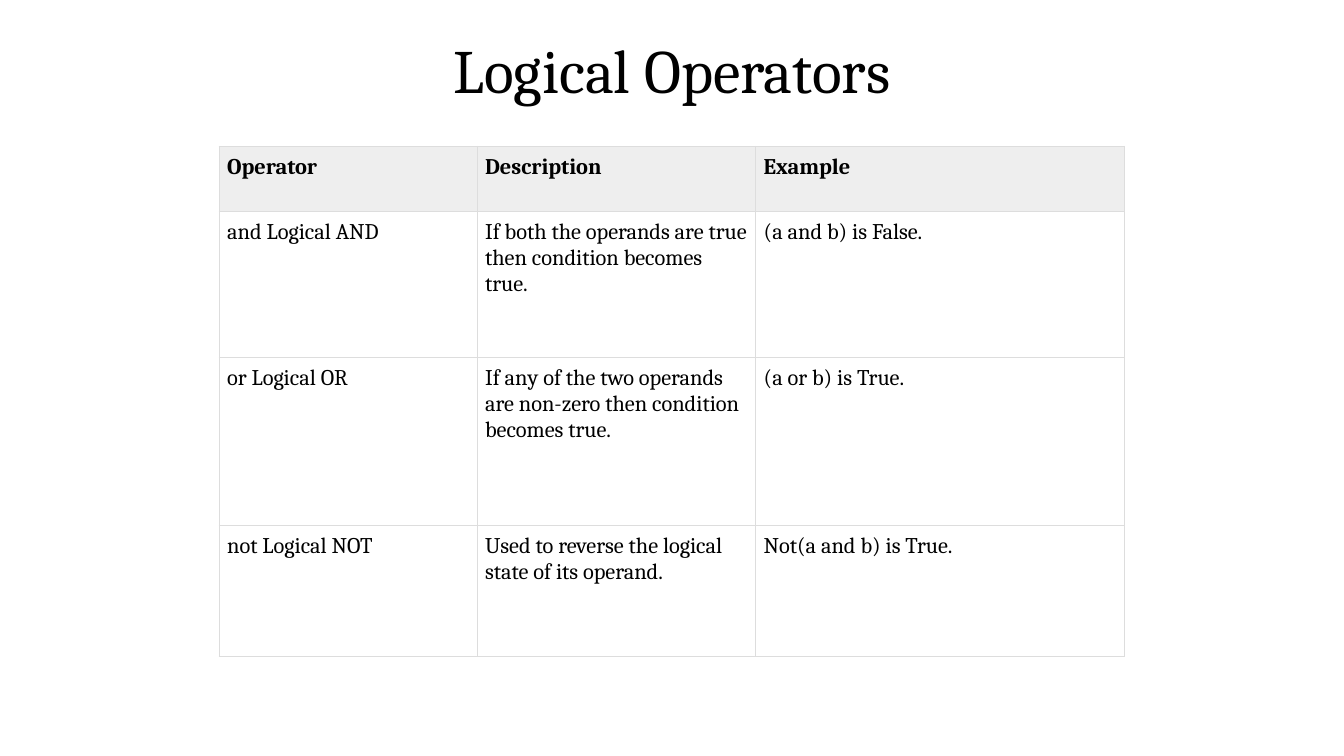
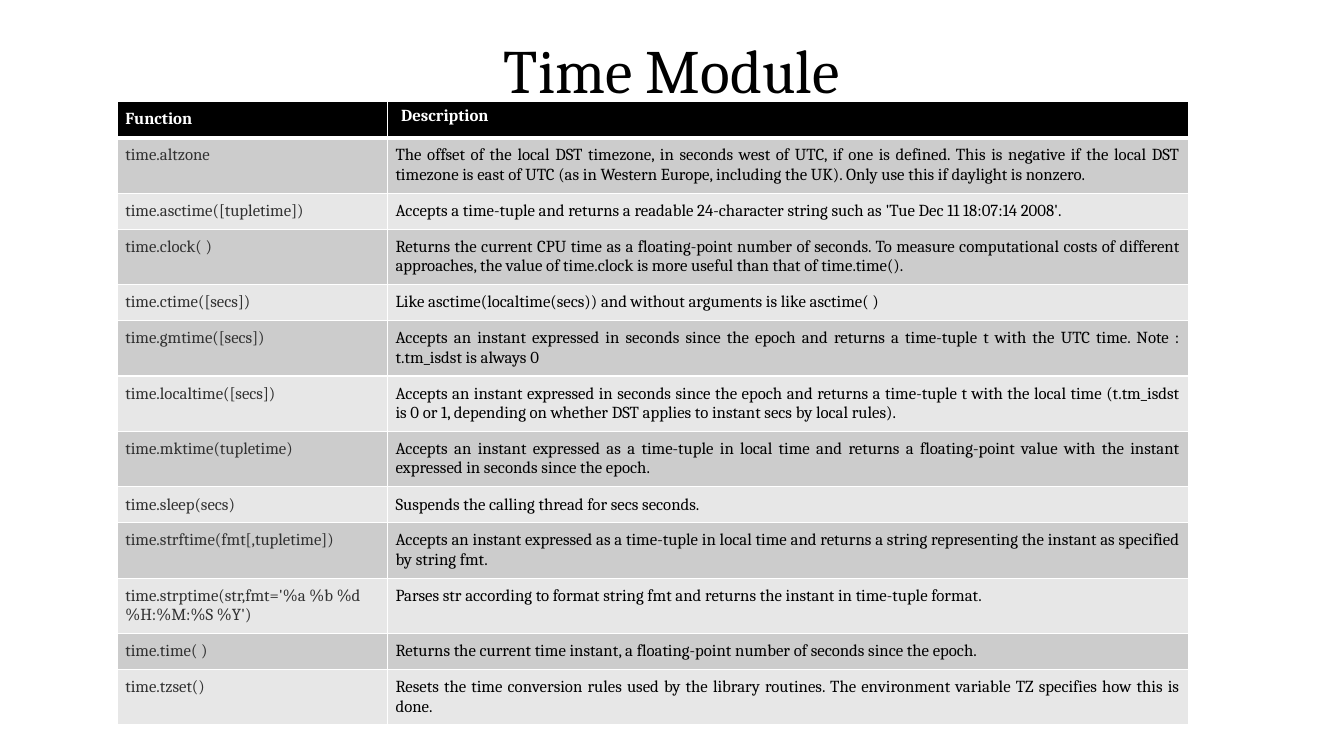
from lxml import etree
from pptx import Presentation
from pptx.dml.color import RGBColor
from pptx.enum import text
from pptx.oxml import ns
from pptx.util import Pt

# Shared look
FONT = "Cambria"
BLACK = RGBColor(0x00, 0x00, 0x00)
WHITE = RGBColor(0xFF, 0xFF, 0xFF)
CHARCOAL = RGBColor(0x31, 0x31, 0x31)
PALE_GREY = RGBColor(0xEE, 0xEE, 0xEE)
RULE_GREY = RGBColor(0xDD, 0xDD, 0xDD)
BANDS = RGBColor(0xCC, 0xCC, 0xCC), RGBColor(0xE7, 0xE7, 0xE7)
PAGE_WIDTH, PAGE_HEIGHT, TITLE_HEIGHT = 960, 540, 104.4
INSET = 5.76
LEFT, JUSTIFY = text.PP_ALIGN.LEFT, text.PP_ALIGN.JUSTIFY

# Content
OPERATORS = [
    ("Operator", "Description", "Example"),
    ("and Logical AND",
     "If both the operands are true then condition becomes true.",
     "(a and b) is False."),
    ("or Logical OR",
     "If any of the two operands are non-zero then condition becomes true.",
     "(a or b) is True."),
    ("not Logical NOT",
     "Used to reverse the logical state of its operand.",
     "Not(a and b) is True."),
]
OPERATOR_ROWS = [46.5, 104.4, 119.8, 93.4]

TIME_FUNCTIONS = [
    ("Function", "Description"),
    ("time.altzone",
     "The offset of the local DST timezone, in seconds west of UTC, if one is "
     "defined. This is negative if the local DST timezone is east of UTC (as in "
     "Western Europe, including the UK). Only use this if daylight is nonzero."),
    ("time.asctime([tupletime])",
     "Accepts a time-tuple and returns a readable 24-character string such as "
     "'Tue Dec 11 18:07:14 2008'."),
    ("time.clock( )",
     "Returns the current CPU time as a floating-point number of seconds. To "
     "measure computational costs of different approaches, the value of "
     "time.clock is more useful than that of time.time()."),
    ("time.ctime([secs])",
     "Like asctime(localtime(secs)) and without arguments is like asctime( )"),
    ("time.gmtime([secs])",
     "Accepts an instant expressed in seconds since the epoch and returns a "
     "time-tuple t with the UTC time. Note : t.tm_isdst is always 0"),
    ("time.localtime([secs])",
     "Accepts an instant expressed in seconds since the epoch and returns a "
     "time-tuple t with the local time (t.tm_isdst is 0 or 1, depending on "
     "whether DST applies to instant secs by local rules)."),
    ("time.mktime(tupletime)",
     "Accepts an instant expressed as a time-tuple in local time and returns a "
     "floating-point value with the instant expressed in seconds since the epoch."),
    ("time.sleep(secs)", "Suspends the calling thread for secs seconds."),
    ("time.strftime(fmt[,tupletime])",
     "Accepts an instant expressed as a time-tuple in local time and returns a "
     "string representing the instant as specified by string fmt."),
    ("time.strptime(str,fmt='%a %b %d %H:%M:%S %Y')",
     "Parses str according to format string fmt and returns the instant in "
     "time-tuple format."),
    ("time.time( )",
     "Returns the current time instant, a floating-point number of seconds "
     "since the epoch."),
    ("time.tzset()",
     "Resets the time conversion rules used by the library routines. The "
     "environment variable TZ specifies how this is done."),
]
ONE_LINE, TWO_LINES = 25.7, 39.6
LINES = [1, 2, 1, 2, 1, 2, 2, 2, 1, 2, 2, 1, 2]
TIME_ROWS = [ONE_LINE if count == 1 else TWO_LINES for count in LINES]


def write(para, words, size, color, bold=False):
    span = para.add_run()
    span.text = words
    span.font.name, span.font.size = FONT, Pt(size)
    span.font.color.rgb, span.font.bold = color, bold


def add_page(deck, title):
    page = deck.slides.add_slide(deck.slide_layouts[5])
    box = page.shapes.title
    box.left, box.top = Pt(0), Pt(0)
    box.width, box.height = Pt(PAGE_WIDTH), Pt(TITLE_HEIGHT)
    frame = box.text_frame
    frame.auto_size = text.MSO_AUTO_SIZE.NONE
    frame.vertical_anchor = text.MSO_ANCHOR.MIDDLE
    para = frame.paragraphs[0]
    para.alignment, para.line_spacing = text.PP_ALIGN.CENTER, 0.9
    write(para, title, 44, BLACK)
    return page


def set_borders(cell, color, **widths):
    """Draw the cell edges; widths has the keys L, R, T and B in points."""
    properties = cell._tc.get_or_add_tcPr()
    for side, width in widths.items():
        line = etree.SubElement(properties, ns.qn(f"a:ln{side}"), w=str(Pt(width)))
        fill = etree.SubElement(line, ns.qn("a:solidFill"))
        etree.SubElement(fill, ns.qn("a:srgbClr"), val=str(color))


def add_grid(page, content, left, top, widths, heights, size,
             border, border_width, head_border, style):
    """Build a table; style(row, column) gives fill, text colour and alignment."""
    table = page.shapes.add_table(
        len(heights), len(widths), Pt(left), Pt(top),
        Pt(sum(widths)), Pt(sum(heights))).table
    table.horz_banding = False
    for column, width in zip(table.columns, widths):
        column.width = Pt(width)
    for r, (row, height) in enumerate(zip(table.rows, heights)):
        row.height = Pt(height)
        for c, cell in enumerate(row.cells):
            fill, color, alignment = style(r, c)
            cell.margin_left = cell.margin_right = Pt(INSET)
            cell.margin_top = cell.margin_bottom = Pt(INSET)
            set_borders(cell, border, L=border_width, R=border_width,
                        T=head_border if r == 1 else border_width,
                        B=head_border if r == 0 else border_width)
            if fill is None:
                cell.fill.background()
            else:
                cell.fill.solid()
                cell.fill.fore_color.rgb = fill
            para = cell.text_frame.paragraphs[0]
            para.alignment = alignment
            write(para, content[r][c], size, color, bold=r == 0)
    return table


def operator_style(row, column):
    return (PALE_GREY if row == 0 else None), BLACK, LEFT


def time_style(row, column):
    if row == 0:
        return BLACK, WHITE, LEFT
    band = BANDS[(row - 1) % 2]
    return (band, CHARCOAL, LEFT) if column == 0 else (band, BLACK, JUSTIFY)


def main():
    deck = Presentation()
    deck.slide_width, deck.slide_height = Pt(PAGE_WIDTH), Pt(PAGE_HEIGHT)

    # Logical operators
    page = add_page(deck, "Logical Operators")
    add_grid(page, OPERATORS, 156.5, 104.5, [184.3, 199, 263.3], OPERATOR_ROWS,
             16, RULE_GREY, 0.75, 0.75, operator_style)

    # Time module
    page = add_page(deck, "Time Module")
    table = add_grid(page, TIME_FUNCTIONS, 83.8, 72.7, [193, 572.2], TIME_ROWS,
                     12, WHITE, 1, 3, time_style)
    heading = table.cell(0, 1)
    heading.margin_left = Pt(9.8)
    heading.margin_top = heading.margin_bottom = Pt(3.6)

    deck.save("out.pptx")


if __name__ == "__main__":
    main()
